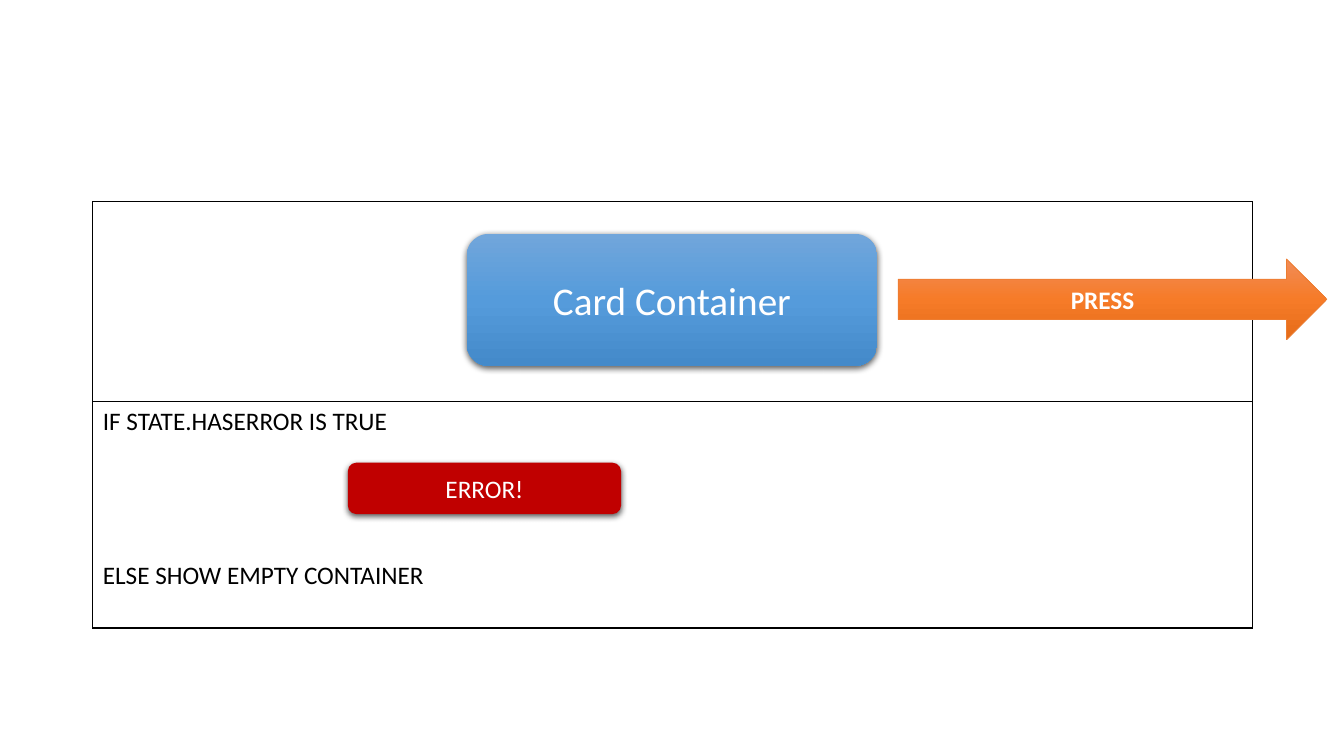
from dataclasses import dataclass
from typing import Optional

from lxml.etree import SubElement
from pptx import Presentation
from pptx.dml.color import RGBColor
from pptx.enum.shapes import MSO_SHAPE
from pptx.enum.text import MSO_ANCHOR, PP_ALIGN
from pptx.oxml.ns import qn
from pptx.util import Inches, Pt

BLACK = RGBColor(0x00, 0x00, 0x00)
WHITE = RGBColor(0xFF, 0xFF, 0xFF)
ERROR_RED = RGBColor(0xC0, 0x00, 0x00)
ARROW_EDGE = RGBColor(0xED, 0x7D, 0x31)
CARD_BLUES = (
    RGBColor(0x71, 0xA6, 0xDB),
    RGBColor(0x55, 0x9B, 0xDB),
    RGBColor(0x44, 0x8A, 0xCA),
)
ARROW_ORANGES = (
    RGBColor(0xF1, 0x8C, 0x57),
    RGBColor(0xF6, 0x7B, 0x28),
    RGBColor(0xE5, 0x6C, 0x19),
)
FONT = "Calibri"


@dataclass(frozen=True)
class Block:
    label: str
    preset: MSO_SHAPE
    left: float
    top: float
    width: float
    height: float
    colors: tuple
    size: int = 18
    bold: bool = False
    edge: Optional[RGBColor] = None
    shadow: bool = True


BLOCKS = (
    Block("Card Container", MSO_SHAPE.ROUNDED_RECTANGLE, 4.63, 2.32, 4.07, 1.31,
          CARD_BLUES, size=28),
    Block("ERROR!", MSO_SHAPE.FLOWCHART_ALTERNATE_PROCESS, 3.45, 4.59, 2.71, 0.51,
          (ERROR_RED,)),
    Block("PRESS", MSO_SHAPE.RIGHT_ARROW, 8.91, 2.57, 4.25, 0.8,
          ARROW_ORANGES, bold=True, edge=ARROW_EDGE, shadow=False),
)


def write(paragraph, text: str, *, size: int = 18, color: RGBColor = BLACK,
          bold: bool = False, align=PP_ALIGN.LEFT, before: int = 0) -> None:
    paragraph.alignment = align
    paragraph.space_before = Pt(before)
    run = paragraph.add_run()
    run.text = text
    run.font.name = FONT
    run.font.size = Pt(size)
    run.font.bold = bold
    run.font.color.rgb = color


def fill_vertical_gradient(shape, colors: tuple) -> None:
    shape.fill.gradient()
    shape.fill.gradient_angle = 270
    stops = shape._element.spPr.find(qn("a:gradFill")).find(qn("a:gsLst"))
    for stop in list(stops):
        stops.remove(stop)
    for index, color in enumerate(colors):
        position = 100000 * index // (len(colors) - 1)
        stop = SubElement(stops, qn("a:gs"), pos=str(position))
        SubElement(stop, qn("a:srgbClr"), val=str(color))


def add_shadow(shape) -> None:
    effects = shape._element.spPr.find(qn("a:effectLst"))
    shadow = SubElement(effects, qn("a:outerShdw"), blurRad=str(Pt(4.5)),
                        dist=str(Pt(1.5)), dir="5400000", algn="ctr", rotWithShape="0")
    tint = SubElement(shadow, qn("a:srgbClr"), val=str(BLACK))
    SubElement(tint, qn("a:alpha"), val="63000")


def draw_block(slide, block: Block) -> None:
    shape = slide.shapes.add_shape(
        block.preset, Inches(block.left), Inches(block.top),
        Inches(block.width), Inches(block.height))
    if len(block.colors) > 1:
        fill_vertical_gradient(shape, block.colors)
    else:
        shape.fill.solid()
        shape.fill.fore_color.rgb = block.colors[0]
    if block.edge is None:
        shape.line.fill.background()
    else:
        shape.line.color.rgb = block.edge
        shape.line.width = Pt(0.5)
    shape.shadow.inherit = False
    if block.shadow:
        add_shadow(shape)
    shape.text_frame.word_wrap = True
    shape.text_frame.vertical_anchor = MSO_ANCHOR.MIDDLE
    write(shape.text_frame.paragraphs[0], block.label, size=block.size,
          color=WHITE, bold=block.bold, align=PP_ALIGN.CENTER)


def outline_cell(cell) -> None:
    properties = cell._tc.get_or_add_tcPr()
    for side in ("a:lnL", "a:lnR", "a:lnT", "a:lnB"):
        border = SubElement(properties, qn(side), w=str(Pt(1)))
        fill = SubElement(border, qn("a:solidFill"))
        SubElement(fill, qn("a:srgbClr"), val=str(BLACK))
    cell.fill.background()


def draw_state_table(slide) -> None:
    heights = (1.98, 2.25)
    table = slide.shapes.add_table(
        len(heights), 1, Inches(0.92), Inches(2), Inches(11.5),
        Inches(sum(heights))).table
    table.first_row = False
    table.horz_banding = False
    for row, height in zip(table.rows, heights):
        row.height = Inches(height)
        outline_cell(row.cells[0])
    conditions = table.cell(1, 0).text_frame
    write(conditions.paragraphs[0], "IF STATE.HASERROR IS TRUE")
    write(conditions.add_paragraph(), "ELSE SHOW EMPTY CONTAINER", before=88)


def main() -> None:
    presentation = Presentation()
    presentation.slide_width = Inches(13.33)
    presentation.slide_height = Inches(7.5)
    slide = presentation.slides.add_slide(presentation.slide_layouts[6])
    draw_state_table(slide)
    for block in BLOCKS:
        draw_block(slide, block)
    presentation.save("out.pptx")


if __name__ == "__main__":
    main()
